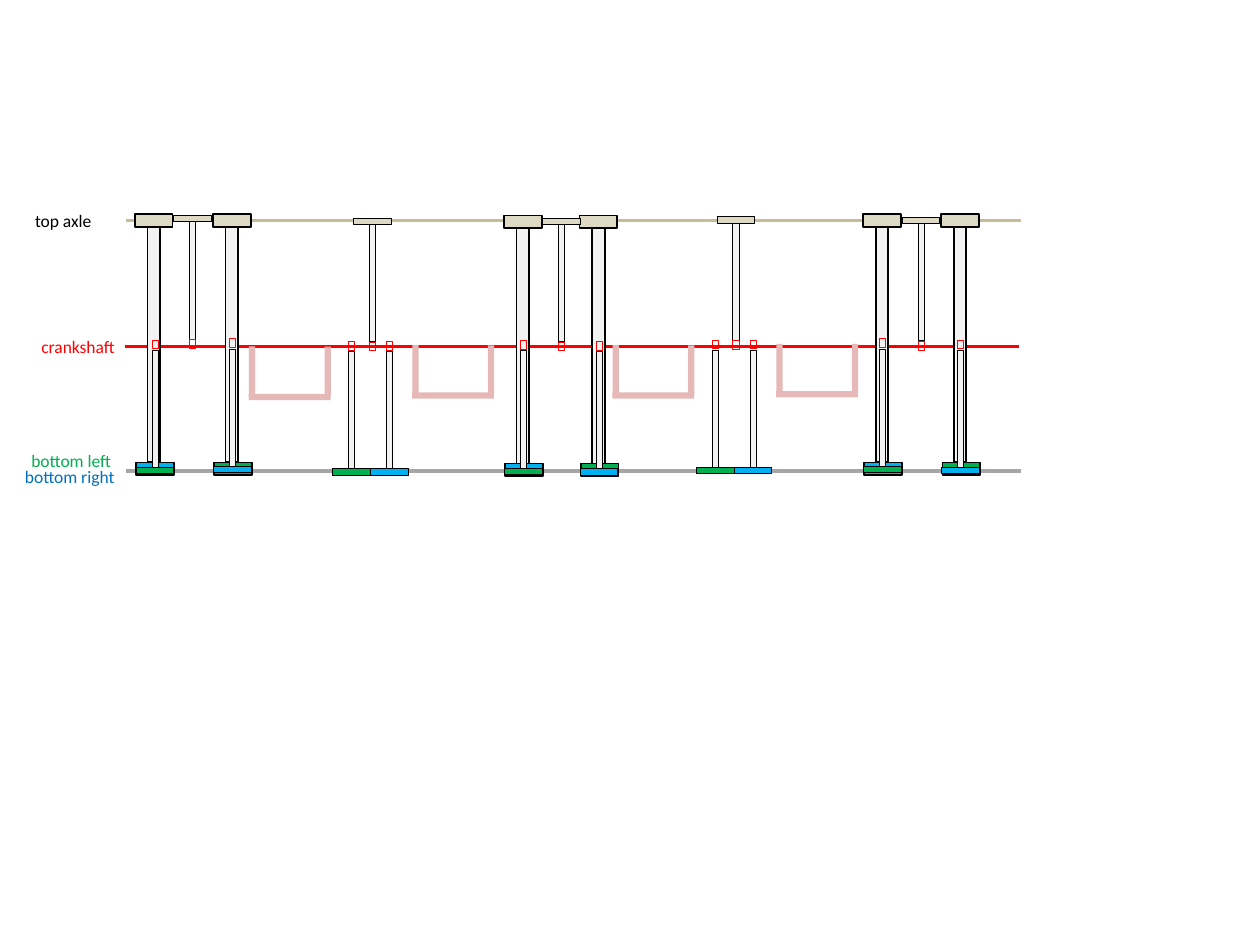
from dataclasses import dataclass
from typing import Optional

from lxml import etree
from pptx import Presentation
from pptx import util as u
from pptx.dml.color import RGBColor
from pptx.enum import shapes, text
from pptx.oxml import ns

COLUMNS, ROWS = 1000, 750  # grid over the slide
CELL = u.Inches(10) / COLUMNS

COLORS = {
    "black": "000000", "red": "FF0000", "green": "00B050", "blue": "00B0F0",
    "label blue": "0070C0", "tan": "DDD9C3", "axle": "C4BD97",
    "grey": "A6A6A6", "light": "F2F2F2", "pink": "E6B9B8",
}


@dataclass(frozen=True)
class Shaft:
    column: float
    row: float
    color: str


@dataclass(frozen=True)
class Label:
    wording: str
    column: float
    row: float
    width: float
    color: str


@dataclass(frozen=True)
class Part:
    column: float
    row: float
    width: float
    height: float
    fill: Optional[str] = None
    line: Optional[str] = "black"
    weight: float = 0.5


@dataclass(frozen=True)
class Assembly:
    kind: str
    column: float
    row: float
    foot: Optional[str] = None


SHAFTS = [Shaft(100, 175, "axle"), Shaft(99, 275, "red"), Shaft(100, 374, "grey")]
SHAFT_LENGTH = 710

LABELS = [
    Label("top axle", 18, 162, 66, "black"),
    Label("bottom right", 10, 365, 93, "label blue"),
    Label("bottom left", 15, 352, 85, "green"),
    Label("crankshaft", 23, 262, 80, "red"),
]
LABEL_HEIGHT = 27

# Parts of each assembly, in grid cells from its top left; "foot" is its own colour
KINDS = {
    "beam": [
        Part(0, 0, 30, 10, "tan", weight=1),
        Part(1, 197, 30, 10, "foot", weight=1),
        Part(10, 10, 10, 187, "light", weight=1),
    ],
    "bottom rod": [
        Part(0, 101, 30, 5, "foot"),
        Part(12.7, 8, 5, 93, "light"),
        Part(12.7, 0, 5, 7, line="red"),
    ],
    "top rod": [
        Part(0, 0, 30, 5, "tan"),
        Part(12.5, 5, 5, 93, "light"),
        Part(12.5, 98.5, 5, 7, line="red"),
    ],
    "crank": [
        Part(0.2, 0, 5, 40, "pink", None),
        Part(60.2, 0, 5, 39, "pink", None),
        Part(0, 37.5, 65, 5, "pink", None),
    ],
}
ROTATION = {"top rod": 180}

# From back to front
ASSEMBLIES = [
    # First pair of beams
    Assembly("beam", 107, 170, "blue"),
    Assembly("bottom rod", 108, 270, "green"),
    Assembly("beam", 169, 170, "green"),
    Assembly("bottom rod", 169.5, 269, "blue"),
    Assembly("top rod", 138, 171),
    Assembly("crank", 197.4, 275),
    # First set of free rods
    Assembly("bottom rod", 264, 271, "green"),
    Assembly("bottom rod", 294, 271, "blue"),
    Assembly("top rod", 280.3, 173),
    Assembly("crank", 327, 274),
    # Second pair of beams
    Assembly("beam", 400, 171, "blue"),
    Assembly("bottom rod", 400.4, 270.5, "green"),
    Assembly("beam", 460, 171, "green"),
    Assembly("bottom rod", 460.4, 271, "blue"),
    Assembly("top rod", 430.4, 173),
    Assembly("crank", 486, 274),
    # Second set of free rods
    Assembly("bottom rod", 552.7, 270, "green"),
    Assembly("bottom rod", 582.7, 270, "blue"),
    Assembly("top rod", 569, 172),
    Assembly("crank", 616, 273),
    # Third pair of beams
    Assembly("beam", 685, 170, "blue"),
    Assembly("bottom rod", 685.4, 269, "green"),
    Assembly("beam", 747, 170, "green"),
    Assembly("bottom rod", 747.3, 270, "blue"),
    Assembly("top rod", 716, 172.5),
]


def cells(*counts: float) -> list[u.Emu]:
    return [u.Emu(round(count * CELL)) for count in counts]


def rgb(name: str) -> RGBColor:
    return RGBColor.from_string(COLORS[name])


def draw_shaft(slide, shaft: Shaft) -> None:
    ends = cells(shaft.column, shaft.row, shaft.column + SHAFT_LENGTH, shaft.row)
    axis = slide.shapes.add_connector(shapes.MSO_CONNECTOR.STRAIGHT, *ends)
    axis.line.color.rgb = rgb(shaft.color)
    axis.line.width = u.Pt(2)
    etree.SubElement(axis._element.spPr, ns.qn("a:effectLst"))


def draw_label(slide, label: Label) -> None:
    frame = slide.shapes.add_textbox(
        *cells(label.column, label.row, label.width, LABEL_HEIGHT)).text_frame
    frame.word_wrap = False
    frame.auto_size = text.MSO_AUTO_SIZE.SHAPE_TO_FIT_TEXT
    run = frame.paragraphs[0].add_run()
    run.text = label.wording
    for attribute, value in {"name": "Calibri", "size": u.Pt(10)}.items():
        setattr(run.font, attribute, value)
    run.font.color.rgb = rgb(label.color)


def draw_part(group, part: Part, assembly: Assembly) -> None:
    bar = group.shapes.add_shape(
        shapes.MSO_SHAPE.RECTANGLE,
        *cells(assembly.column + part.column, assembly.row + part.row,
               part.width, part.height))
    bar.shadow.inherit = False
    bar.rotation = ROTATION.get(assembly.kind, 0)
    if part.fill:
        bar.fill.solid()
        bar.fill.fore_color.rgb = rgb(assembly.foot if part.fill == "foot" else part.fill)
    else:
        bar.fill.background()
    if part.line:
        bar.line.color.rgb = rgb(part.line)
        bar.line.width = u.Pt(part.weight)
    else:
        bar.line.fill.background()


def draw_assembly(slide, assembly: Assembly) -> None:
    group = slide.shapes.add_group_shape()
    for part in KINDS[assembly.kind]:
        draw_part(group, part, assembly)


def main() -> None:
    deck = Presentation()
    deck.slide_width, deck.slide_height = cells(COLUMNS, ROWS)
    slide = deck.slides.add_slide(deck.slide_layouts[6])
    for shaft in SHAFTS:
        draw_shaft(slide, shaft)
    for label in LABELS:
        draw_label(slide, label)
    for assembly in ASSEMBLIES:
        draw_assembly(slide, assembly)
    deck.save("out.pptx")


if __name__ == "__main__":
    main()
